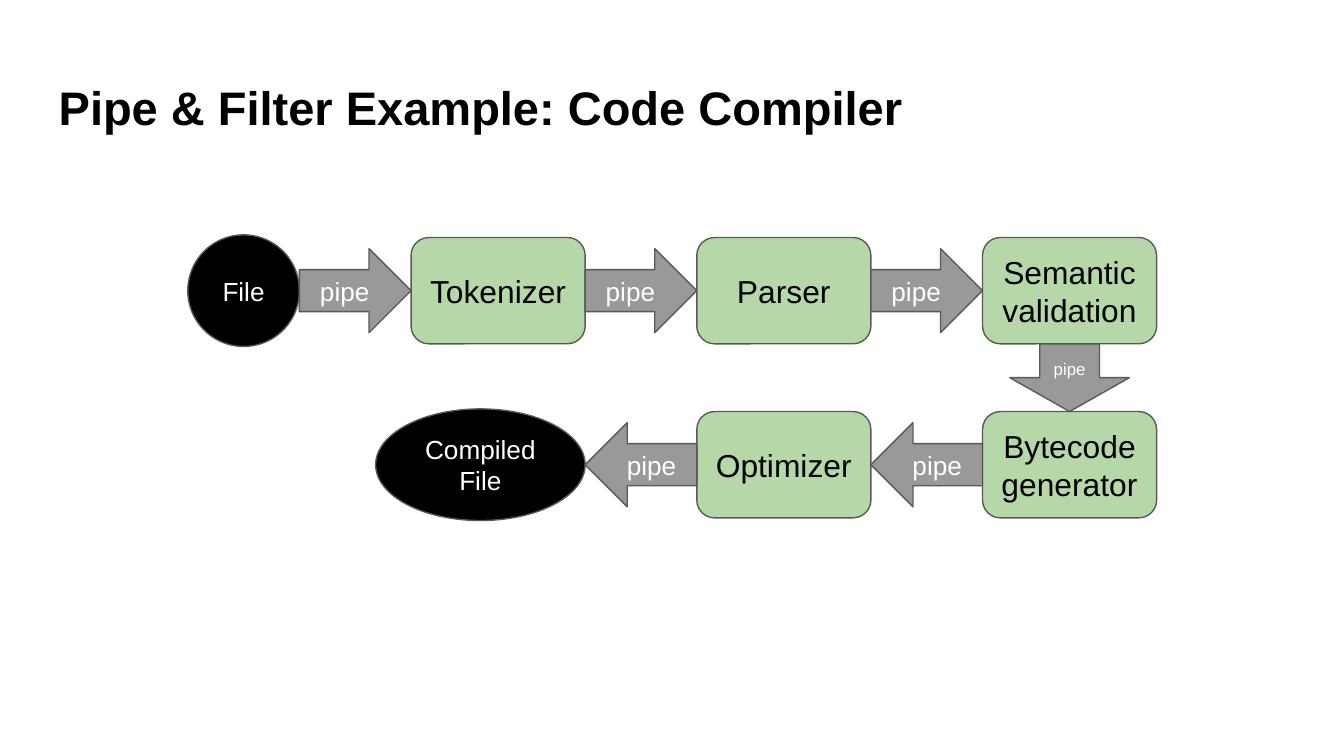
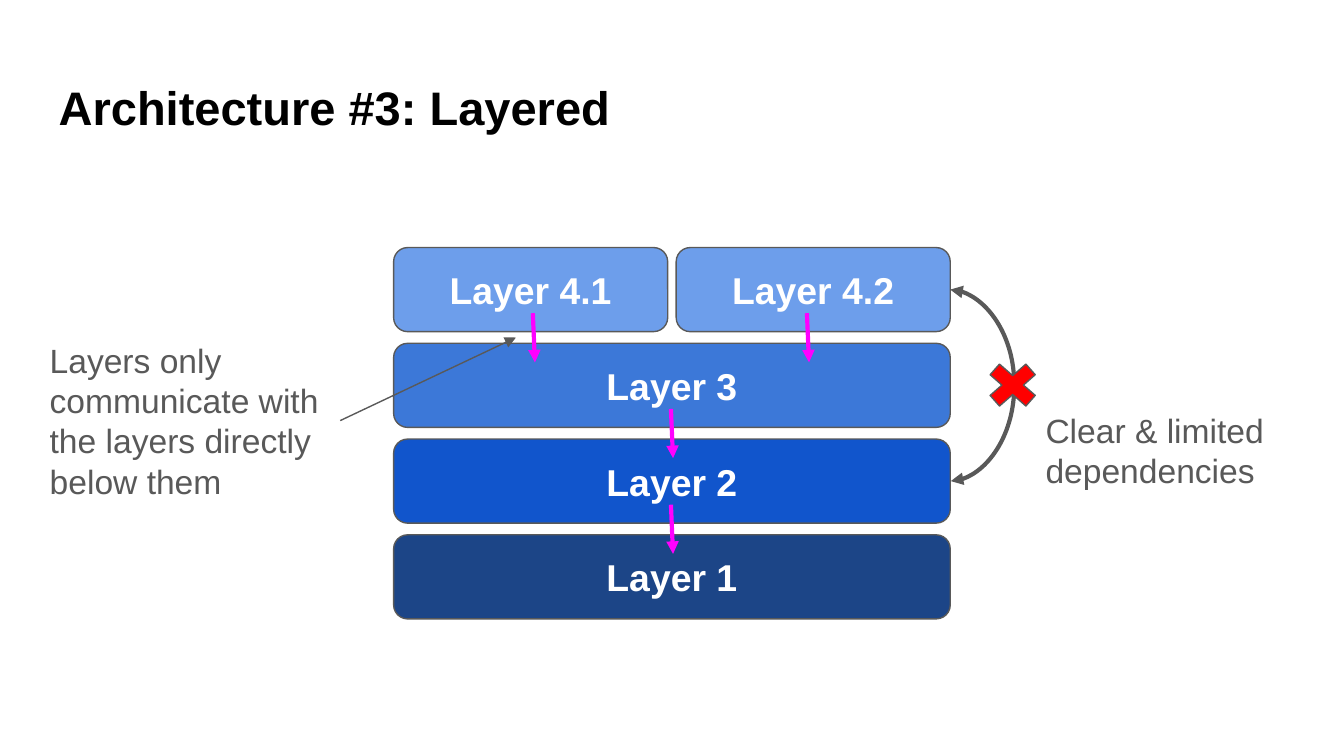
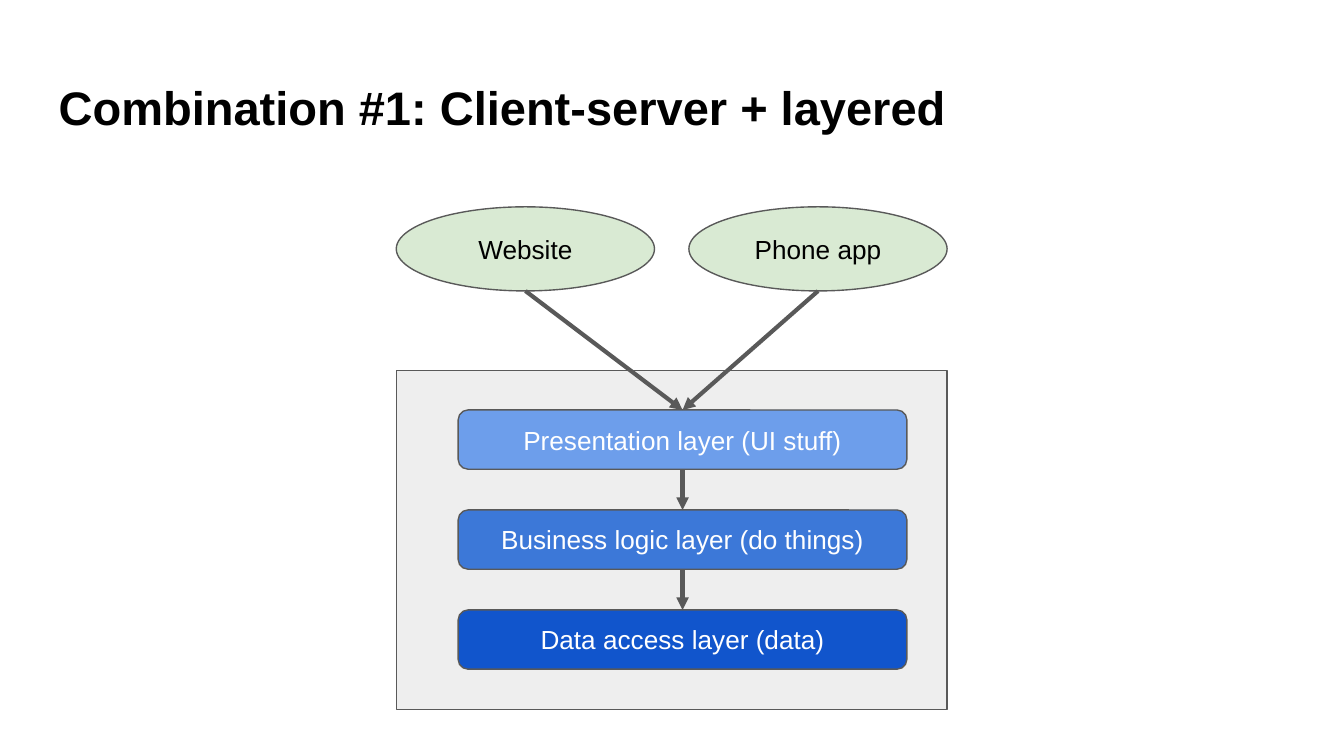
from dataclasses import dataclass
from typing import NamedTuple

from lxml import etree
from pptx import Presentation
from pptx import util as u
from pptx.dml import color
from pptx.enum import shapes, text
from pptx.oxml import ns

Kind = shapes.MSO_SHAPE


@dataclass(frozen=True)
class Theme:
    font: str = "Arial"
    black: str = "000000"
    white: str = "FFFFFF"
    outline: str = "595959"
    pipe: str = "999999"
    filter: str = "B6D7A8"
    client: str = "D9EAD3"
    server: str = "EEEEEE"
    call: str = "FF00FF"
    forbidden: str = "FF0000"
    layers: tuple[str, ...] = ("6D9EEB", "3C78D8", "1155CC", "1C4587")
    title_size: float = 25.2
    layer_size: float = 20
    note_size: float = 18
    filter_size: float = 17
    label_size: float = 14
    small_size: float = 9
    thin: float = 0.75
    thick: float = 2.25


THEME = Theme()


class Area(NamedTuple):
    """A rectangle in centimetres."""
    left: float
    top: float
    width: float
    height: float

    @property
    def right(self) -> float:
        return self.left + self.width

    @property
    def bottom(self) -> float:
        return self.top + self.height

    @property
    def center(self) -> float:
        return self.left + self.width / 2

    @property
    def middle(self) -> float:
        return self.top + self.height / 2

    def lengths(self) -> list[u.Length]:
        return [u.Cm(value) for value in self]


@dataclass(frozen=True)
class Label:
    words: str
    size: float = THEME.label_size
    color: str = THEME.white
    bold: bool = False


@dataclass(frozen=True)
class Node:
    area: Area
    kind: Kind
    fill: str
    label: Label | None = None


@dataclass(frozen=True)
class Arrow:
    start: tuple[float, float]
    end: tuple[float, float]
    color: str = THEME.outline
    width: float = THEME.thick


def rgb(value: str) -> color.RGBColor:
    return color.RGBColor.from_string(value)


def write(shape, label: Label, align=text.PP_ALIGN.LEFT, anchor=text.MSO_ANCHOR.TOP) -> None:
    frame = shape.text_frame
    frame.word_wrap = True
    frame.vertical_anchor = anchor
    frame.margin_left = frame.margin_right = u.Cm(0.25)
    frame.margin_top = frame.margin_bottom = u.Cm(0.25)
    para = frame.paragraphs[0]
    para.text = label.words
    para.alignment = align
    para.font.name = THEME.font
    para.font.size = u.Pt(label.size)
    para.font.bold = label.bold
    para.font.color.rgb = rgb(label.color)


def draw_text(tree, area: Area, label: Label) -> None:
    write(tree.add_textbox(*area.lengths()), label)


def draw_node(tree, node: Node):
    shape = tree.add_shape(node.kind, *node.area.lengths())
    shape.shadow.inherit = False
    shape.fill.solid()
    shape.fill.fore_color.rgb = rgb(node.fill)
    shape.line.color.rgb = rgb(THEME.outline)
    shape.line.width = u.Pt(THEME.thin)
    if node.label:
        write(shape, node.label, text.PP_ALIGN.CENTER, text.MSO_ANCHOR.MIDDLE)
    return shape


def draw_arrow(tree, arrow: Arrow, kind=shapes.MSO_CONNECTOR.STRAIGHT,
               ends: tuple[str, ...] = ("tailEnd",)):
    points = [u.Cm(value) for value in arrow.start + arrow.end]
    connector = tree.add_connector(kind, *points)
    connector.line.color.rgb = rgb(arrow.color)
    connector.line.width = u.Pt(arrow.width)
    for end in ends:
        etree.SubElement(connector.line._ln, ns.qn(f"a:{end}"), type="triangle")
    etree.SubElement(connector._element.spPr, ns.qn("a:effectLst"))
    return connector


def draw_bow(tree, x: float, top: float, bottom: float, bulge: float) -> None:
    """Join two points on one vertical with a double-headed curve bulging right."""
    width = 0.01  # the bulge is a multiple of the width, which must not be zero
    bow = draw_arrow(tree, Arrow((x, top), (x + width, bottom)),
                     shapes.MSO_CONNECTOR.CURVE, ("headEnd", "tailEnd"))
    guides = bow._element.spPr.find(ns.qn("a:prstGeom")).get_or_add_avLst()
    ratio = round(bulge / width * 100000)
    etree.SubElement(guides, ns.qn("a:gd"), name="adj1", fmla=f"val {ratio}")


def add_page(deck, title: str):
    page = deck.slides.add_slide(deck.slide_layouts[6])
    draw_text(page.shapes, Area(0.86, 1.24, 23.67, 1.6),
              Label(title, THEME.title_size, THEME.black, True))
    return page


def add_compiler_page(deck) -> None:
    tree = add_page(deck, "Pipe & Filter Example: Code Compiler").shapes
    left, pitch, width, height = 7.77, 5.4, 3.29, 2.01
    tops = (4.49, 7.78)
    gap = pitch - width
    round_height = 2.11
    pipe_height = 1.59

    def cell(row: int, column: int) -> Area:
        return Area(left + column * pitch, tops[row], width, height)

    def beside(row: int, x: float, wide: float, high: float) -> Area:
        return Area(x, cell(row, 0).middle - high / 2, wide, high)

    ends = [
        ("File", beside(0, left - gap - round_height, round_height, round_height)),
        ("Compiled File", beside(1, cell(1, 0).right - 3.96, 3.96, round_height)),
    ]
    for words, area in ends:
        draw_node(tree, Node(area, Kind.OVAL, THEME.black, Label(words)))

    filters = [
        ("Tokenizer", 0, 0), ("Parser", 0, 1), ("Semantic validation", 0, 2),
        ("Bytecode generator", 1, 2), ("Optimizer", 1, 1),
    ]
    for words, row, column in filters:
        label = Label(words, THEME.filter_size, THEME.black)
        draw_node(tree, Node(cell(row, column), Kind.ROUNDED_RECTANGLE, THEME.filter, label))

    pipes = [(Kind.RIGHT_ARROW, 0, column) for column in range(3)]
    pipes += [(Kind.LEFT_ARROW, 1, column) for column in (2, 1)]
    for kind, row, column in pipes:
        area = beside(row, cell(row, column).left - gap, gap, pipe_height)
        draw_node(tree, Node(area, kind, THEME.pipe, Label("pipe")))

    above, below = cell(0, 2), cell(1, 2)
    down = Area(above.center - 1.13, above.bottom, 2.26, below.top - above.bottom)
    draw_node(tree, Node(down, Kind.DOWN_ARROW, THEME.pipe, Label("pipe", THEME.small_size)))


def add_layered_page(deck) -> None:
    tree = add_page(deck, "Architecture #3: Layered").shapes
    left, width, height, pitch = 7.44, 10.52, 1.59, 1.81
    half = 5.18
    tops = [4.68 + row * pitch for row in range(4)]
    bars = [
        ("Layer 4.1", 0, left, half), ("Layer 4.2", 0, left + width - half, half),
        ("Layer 3", 1, left, width), ("Layer 2", 2, left, width), ("Layer 1", 3, left, width),
    ]
    stack = tree.add_group_shape().shapes
    for words, row, x, wide in bars:
        draw_node(stack, Node(Area(x, tops[row], wide, height), Kind.ROUNDED_RECTANGLE,
                              THEME.layers[row],
                              Label(words, THEME.layer_size, bold=True)))

    for row, x in [(0, 10.09), (0, 15.27), (1, 12.7), (2, 12.7)]:
        y = tops[row] + 1.24
        draw_arrow(tree, Arrow((x - 0.02, y), (x + 0.02, y + 0.93), THEME.call))

    rule = tree.add_group_shape().shapes
    draw_text(rule, Area(0.69, 6.17, 5.74, 3.56),
              Label("Layers only communicate with the layers directly below them",
                    THEME.note_size, THEME.outline))
    draw_arrow(rule, Arrow((6.43, 7.95), (9.75, 6.38), width=THEME.thin))

    ban = tree.add_group_shape().shapes
    draw_text(ban, Area(19.51, 7.49, 4.78, 2.03),
              Label("Clear & limited dependencies", THEME.note_size, THEME.outline))
    draw_bow(ban, left + width, tops[0] + height / 2, tops[2] + height / 2, 1.21)
    cross = draw_node(ban, Node(Area(18.49, 6.71, 1.3, 1.14), Kind.MATH_MULTIPLY,
                                THEME.forbidden))
    cross.adjustments[0] = 0.235


def add_combination_page(deck) -> None:
    tree = add_page(deck, "Combination #1: Client-server + layered").shapes
    server = Area(7.49, 7.01, 10.41, 6.4)
    draw_node(tree, Node(server, Kind.RECTANGLE, THEME.server))

    names = ("Presentation layer (UI stuff)", "Business logic layer (do things)",
             "Data access layer (data)")
    layers = [Area(8.66, 7.75 + row * 1.89, 8.48, 1.12) for row in range(len(names))]
    for area, words, fill in zip(layers, names, THEME.layers):
        draw_node(tree, Node(area, Kind.ROUNDED_RECTANGLE, fill, Label(words)))

    width = 4.88
    clients = [Area(x, 3.91, width, 1.59) for x in (server.left, server.right - width)]
    for area, words in zip(clients, ("Website", "Phone app")):
        draw_node(tree, Node(area, Kind.OVAL, THEME.client, Label(words, color=THEME.black)))

    links = [(client, layers[0]) for client in clients] + list(zip(layers, layers[1:]))
    for upper, lower in links:
        draw_arrow(tree, Arrow((upper.center, upper.bottom), (lower.center, lower.top)))


def main() -> None:
    deck = Presentation()
    deck.slide_width, deck.slide_height = u.Cm(25.4), u.Cm(14.29)
    add_compiler_page(deck)
    add_layered_page(deck)
    add_combination_page(deck)
    deck.save("out.pptx")


if __name__ == "__main__":
    main()
